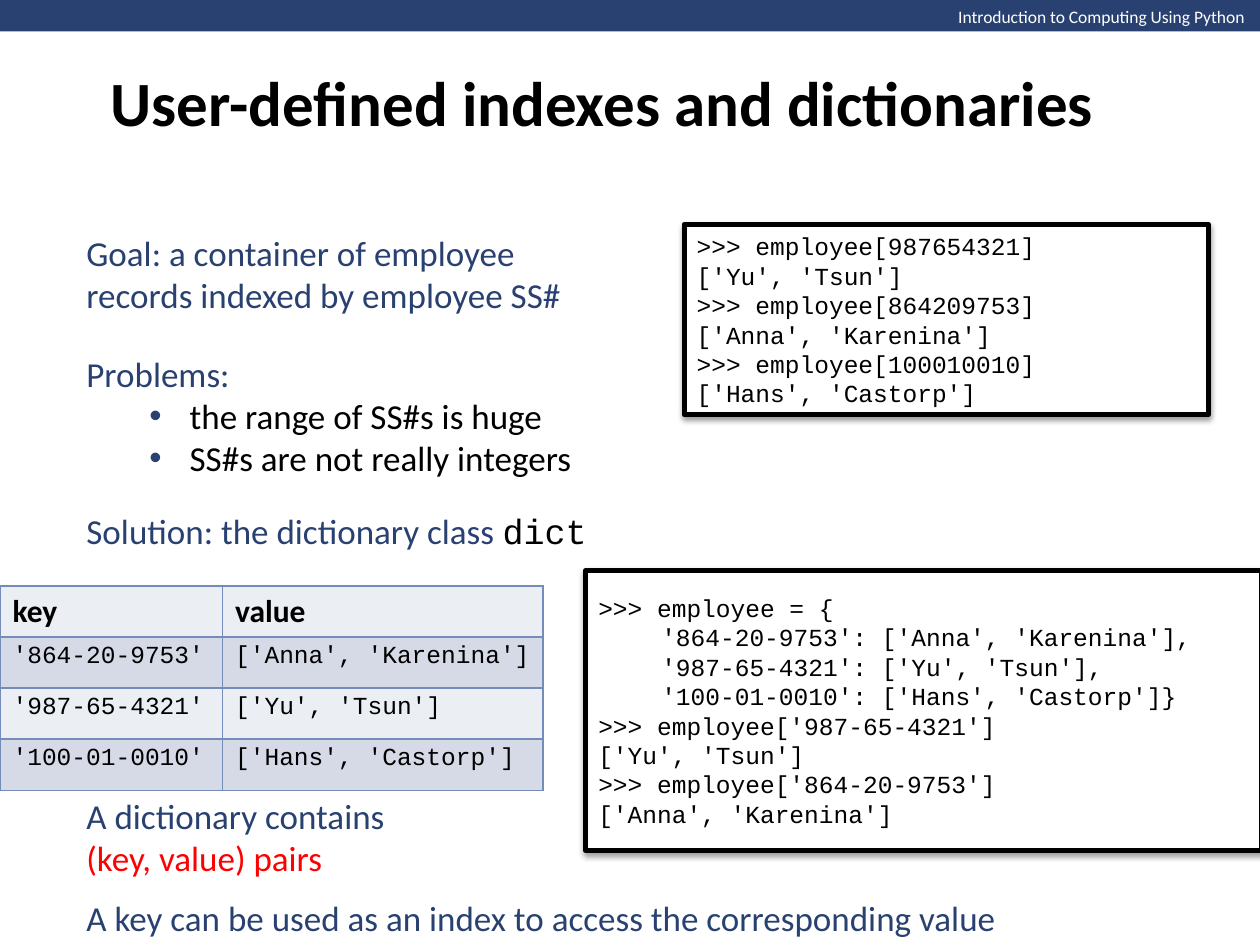
from pptx import Presentation
from pptx.dml.color import RGBColor
from pptx.enum.shapes import MSO_SHAPE as SHAPE
from pptx.enum.text import MSO_ANCHOR as ANCHOR, MSO_AUTO_SIZE as AUTO, PP_ALIGN as ALIGN
from pptx.oxml import parse_xml
from pptx.oxml.ns import nsdecls, qn
from pptx.util import Pt

NAVY, BLACK, WHITE, RED = "294171", "000000", "FFFFFF", "FF0000"
BODY = {"name": "Calibri", "size": Pt(20), "bold": False}
CODE = {"name": "Courier New", "size": Pt(14), "bold": False}
TITLE = {"name": "Calibri", "size": Pt(36), "bold": True}
HEADER = {"name": "Calibri", "size": Pt(10), "bold": False}
KEY_HEAD = {"name": "Calibri", "size": Pt(18), "bold": True}
DICT_NAME = {"name": "Courier New", "size": Pt(20), "bold": False}


def rgb(value):
    return RGBColor.from_string(value)


def write(frame, paragraphs):
    """Fill a text frame; each paragraph is a list of (text, format, colour) runs."""
    for number, runs in enumerate(paragraphs):
        paragraph = frame.paragraphs[0] if number == 0 else frame.add_paragraph()
        paragraph.alignment = ALIGN.LEFT
        for text, style, colour in runs:
            run = paragraph.add_run()
            run.text = text
            for attribute, value in style.items():
                setattr(run.font, attribute, value)
            run.font.color.rgb = rgb(colour)


deck = Presentation()
deck.slide_width, deck.slide_height = Pt(720), Pt(540)
slide = deck.slides.add_slide(deck.slide_layouts[6])

# Interpreter sessions
sessions = [
    ((334.8, 326.1, 385.9, 159.8), [
        ">>> employee = {",
        "\t'864-20-9753': ['Anna', 'Karenina'],",
        "\t'987-65-4321': ['Yu', 'Tsun'],",
        "\t'100-01-0010': ['Hans', 'Castorp']}",
        ">>> employee['987-65-4321']",
        "['Yu', 'Tsun']",
        ">>> employee['864-20-9753']",
        "['Anna', 'Karenina']",
    ]),
    ((391, 128.2, 299.5, 108.7), [
        ">>> employee[987654321]",
        "['Yu', 'Tsun']",
        ">>> employee[864209753]",
        "['Anna', 'Karenina']",
        ">>> employee[100010010]",
        "['Hans', 'Castorp']",
    ]),
]
for place, lines in sessions:
    session = slide.shapes.add_shape(SHAPE.RECTANGLE, *map(Pt, place))
    session.fill.solid()
    session.fill.fore_color.rgb = rgb(WHITE)
    session.line.color.rgb = rgb(BLACK)
    session.line.width = Pt(3)
    session.shadow.inherit = False
    session._element.spPr.find(qn("a:effectLst")).append(parse_xml(
        f'<a:outerShdw {nsdecls("a")} blurRad="{Pt(3.1)}" dist="{Pt(1.6)}" dir="5400000" '
        f'rotWithShape="0"><a:srgbClr val="{BLACK}"><a:alpha val="38000"/></a:srgbClr>'
        '</a:outerShdw>'))
    frame = session.text_frame
    frame.word_wrap = True
    frame.auto_size = AUTO.SHAPE_TO_FIT_TEXT
    frame.vertical_anchor = ANCHOR.MIDDLE
    write(frame, [[(line, CODE, BLACK)] for line in lines])

# Header band
band = slide.shapes.add_shape(SHAPE.RECTANGLE, 0, 0, Pt(720.5), Pt(18))
band.fill.solid()
band.fill.fore_color.rgb = rgb(NAVY)
band.line.fill.background()
band.shadow.inherit = False
course = slide.shapes.add_textbox(Pt(540.5), 0, Pt(180), Pt(19.4)).text_frame
course.word_wrap = False
course.auto_size = AUTO.SHAPE_TO_FIT_TEXT
write(course, [[("Introduction to Computing Using Python", HEADER, WHITE)]])

# Title and explanations
passages = [
    ((56.2, 0, 612, 116), [[("User-defined indexes and dictionaries", TITLE, BLACK)]]),
    ((42.3, 128.2, 310.3, 55.7), [
        [("Goal: a container of employee records indexed by employee SS#", BODY, NAVY)]]),
    ((42.3, 197.3, 310.3, 79.9), [
        [("Problems:", BODY, NAVY)],
        [("the range of SS#s is huge", BODY, BLACK)],
        [("SS#s are not really integers", BODY, BLACK)]]),
    ((42.3, 287.5, 310.3, 31.5), [
        [("Solution: the dictionary class ", BODY, NAVY), ("dict", DICT_NAME, BLACK)]]),
    ((42.3, 450, 292.3, 55.7), [
        [("A dictionary contains", BODY, NAVY)],
        [("(key, value) pairs", BODY, RED)]]),
    ((42.3, 508.5, 586, 31.5), [
        [("A key can be used as an index to access the corresponding value", BODY, NAVY)]]),
]
for place, paragraphs in passages:
    frame = slide.shapes.add_textbox(*map(Pt, place)).text_frame
    frame.word_wrap = True
    frame.vertical_anchor = ANCHOR.MIDDLE
    write(frame, paragraphs)
    if len(paragraphs) == 3:
        for problem in frame.paragraphs[1:]:
            problem.level = 1
            properties = problem._p.get_or_add_pPr()
            properties.set("marL", str(Pt(59)))
            properties.set("indent", str(Pt(-23)))
            for bullet in (f'<a:buClr {nsdecls("a")}><a:srgbClr val="{NAVY}"/></a:buClr>',
                           f'<a:buFont {nsdecls("a")} typeface="Arial"/>',
                           f'<a:buChar {nsdecls("a")} char="•"/>'):
                properties.append(parse_xml(bullet))

# Key and value table
entries = [
    ("key", "value"),
    ("'864-20-9753'", "['Anna', 'Karenina']"),
    ("'987-65-4321'", "['Yu', 'Tsun']"),
    ("'100-01-0010'", "['Hans', 'Castorp']"),
]
pairs = slide.shapes.add_table(4, 2, 0, Pt(334.8), Pt(310.3), Pt(116.8)).table
for column, width in zip(pairs.columns, (127.2, 183.1)):
    column.width = Pt(width)
for row, entry in enumerate(entries):
    pairs.rows[row].height = Pt(29.2)
    for column, text in enumerate(entry):
        cell = pairs.cell(row, column)
        for side in ("lnL", "lnR", "lnT", "lnB"):
            cell._tc.get_or_add_tcPr().append(parse_xml(
                f'<a:{side} {nsdecls("a")} w="{Pt(1)}"><a:solidFill>'
                f'<a:srgbClr val="748CBC"/></a:solidFill></a:{side}>'))
        cell.fill.solid()
        cell.fill.fore_color.rgb = rgb("D6DAE7" if row % 2 else "EBEEF3")
        write(cell.text_frame, [[(text, CODE if row else KEY_HEAD, BLACK)]])

deck.save("out.pptx")
